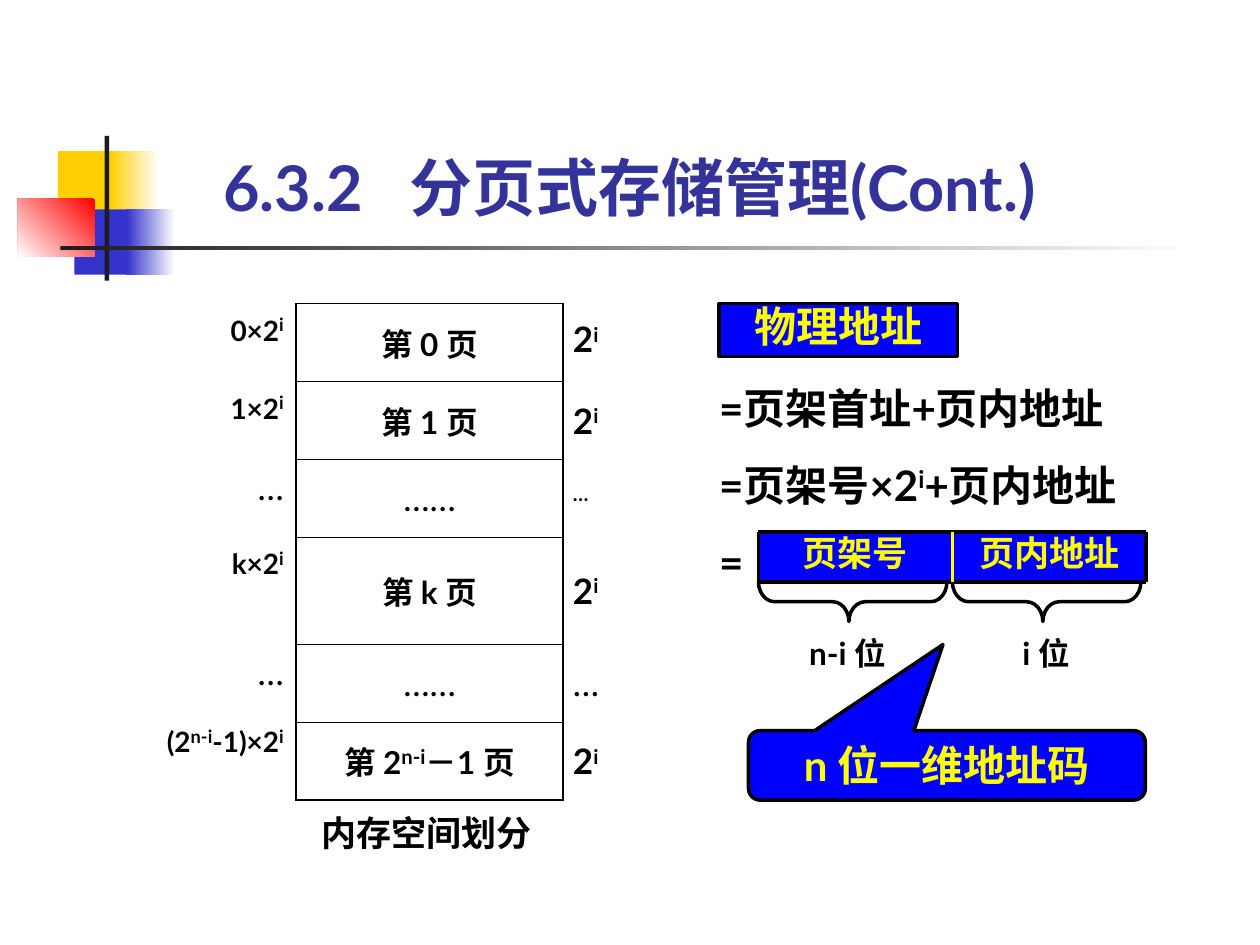
from dataclasses import dataclass

from lxml import etree
from pptx import Presentation
from pptx import util as u
from pptx.dml.color import RGBColor
from pptx.enum import shapes, text
from pptx.oxml import ns

Cm, Pt = u.Cm, u.Pt
SHAPE, ALIGN, ANCHOR = shapes.MSO_SHAPE, text.PP_ALIGN, text.MSO_ANCHOR


@dataclass(frozen=True)
class Theme:
    font: str = "Lato"
    title: str = "333399"
    ink: str = "000000"
    paper: str = "FFFFFF"
    panel: str = "0000FF"
    accent: str = "FFFF00"
    bar: str = "1C1C1C"
    gold: str = "FFCF01"
    blue: str = "3333CC"
    red: str = "FF0000"
    title_size: int = 36
    formula_size: int = 24
    body_size: int = 20
    label_size: int = 18
    address_size: int = 16


@dataclass(frozen=True)
class Box:
    left: float
    top: float
    width: float
    height: float

    def inner(self, left, top, width, height):
        return Box(self.left + left, self.top + top, width, height)

    def lengths(self):
        return Cm(self.left), Cm(self.top), Cm(self.width), Cm(self.height)


THEME = Theme()
NO_STYLE = "{2D5ABB26-0587-4C30-8999-92F81FD0307C}"


def rgb(value):
    return RGBColor.from_string(value)


def write(para, words, size, color=THEME.ink, raised=None, align=ALIGN.LEFT, tight=False, bold=True):
    for index, piece in enumerate(words.split("^")):
        if not piece:
            continue
        span = para.add_run()
        span.text = piece
        if index % 2:
            span.font.size = Pt(raised or size)
            span.font._element.set("baseline", "30000")
    font = para.font
    font.name, font.size, font.bold = THEME.font, Pt(size), bold
    font.color.rgb = rgb(color)
    para.alignment = align
    if tight:
        para.line_spacing = 0.8


def set_margins(frame, left=0, top=0, right=0, bottom=0):
    frame.margin_left, frame.margin_top = Cm(left), Cm(top)
    frame.margin_right, frame.margin_bottom = Cm(right), Cm(bottom)


def add_label(page, box, words, size, align=ALIGN.LEFT):
    frame = page.shapes.add_textbox(*box.lengths()).text_frame
    frame.word_wrap = True
    set_margins(frame)
    write(frame.paragraphs[0], words, size, align=align, tight=True)


def add_panel(page, box, color, kind=SHAPE.RECTANGLE, outline=None, fade_angle=None, fade_to=THEME.paper):
    panel = page.shapes.add_shape(kind, *box.lengths())
    panel.shadow.inherit = False
    if fade_angle is None:
        panel.fill.solid()
        panel.fill.fore_color.rgb = rgb(color)
    else:
        panel.fill.gradient()
        panel.fill.gradient_angle = fade_angle
        for stop, shade in zip(panel.fill.gradient_stops, (color, fade_to)):
            stop.color.rgb = rgb(shade)
    if outline:
        panel.line.color.rgb = rgb(outline)
        panel.line.width = Pt(2)
    else:
        panel.line.fill.background()
    return panel


def add_caption_panel(page, box, words, size, anchor=ANCHOR.TOP, top=0, **look):
    panel = add_panel(page, box, THEME.panel, **look)
    frame = panel.text_frame
    frame.word_wrap = True
    frame.vertical_anchor = anchor
    set_margins(frame, top=top)
    write(frame.paragraphs[0], words, size, THEME.accent, align=ALIGN.CENTER, tight=True)
    return panel


def add_line(page, start, end, color, width):
    line = page.shapes.add_connector(shapes.MSO_CONNECTOR.STRAIGHT, *map(Cm, start + end))
    line.line.color.rgb = rgb(color)
    line.line.width = Pt(width)
    etree.SubElement(line._element.spPr, ns.qn("a:effectLst"))


def build_emblem(page, box):
    for color, left, top, width in ((THEME.gold, 0.81, 0.31, 1.22), (THEME.blue, 1.14, 1.48, 1.17)):
        add_panel(page, box.inner(left, top, width, 1.32), color)
        add_panel(page, box.inner(left + 1.05, top, 0.97, 1.32), color, fade_angle=0)
    add_panel(page, box.inner(0, 1.27, 1.55, 1.17), THEME.red, fade_angle=225)
    add_panel(page, box.inner(1.75, 0, 0.09, box.height), THEME.bar)
    add_panel(page, box.inner(0.86, 2.21, box.width - 0.86, 0.1), THEME.bar, fade_angle=0)


def build_title(page, box):
    title = page.shapes.title
    title.left, title.top, title.width, title.height = box.lengths()
    frame = title.text_frame
    frame.auto_size = text.MSO_AUTO_SIZE.NONE
    frame.vertical_anchor = ANCHOR.BOTTOM
    set_margins(frame)
    para = frame.paragraphs[0]
    tabs = etree.SubElement(para._p.get_or_add_pPr(), ns.qn("a:tabLst"))
    etree.SubElement(tabs, ns.qn("a:tab"), pos=str(Cm(3.75)), algn="l")
    write(para, "6.3.2\t分页式存储管理(Cont.)", THEME.title_size, THEME.title)


def set_borders(cell, **widths):
    properties = cell._tc.get_or_add_tcPr()
    for index, side in enumerate(side for side in "LRTB" if side in widths):
        line = etree.Element(ns.qn("a:ln" + side), w=str(Pt(widths[side])))
        fill = etree.SubElement(line, ns.qn("a:solidFill"))
        etree.SubElement(fill, ns.qn("a:srgbClr"), val=THEME.ink)
        properties.insert(index, line)


def build_memory_table(page, box):
    rows = (
        ("0×2^i", "第 0 页", "2^i"),
        ("1×2^i", "第 1 页", "2^i"),
        ("…", "……", "^…"),
        ("k×2^i", "第 k 页", "2^i"),
        ("…", "……", "…"),
        ("(2^n-i^-1)×2^i", "第 2^n-i^－1 页", "2^i"),
    )
    columns = (
        (3.86, THEME.address_size, THEME.label_size, ALIGN.RIGHT, ANCHOR.TOP),
        (5.38, THEME.label_size, THEME.body_size, ALIGN.CENTER, ANCHOR.MIDDLE),
        (1.24, THEME.body_size, THEME.body_size, ALIGN.LEFT, ANCHOR.MIDDLE),
    )
    tight_cells = {(0, 2), (5, 0)}
    table = page.shapes.add_table(len(rows), len(columns), *box.lengths()).table
    table.first_row = table.horz_banding = False
    table._tbl.tblPr.find(ns.qn("a:tableStyleId")).text = NO_STYLE
    for column, (width, *_) in zip(table.columns, columns):
        column.width = Cm(width)
    last = len(rows) - 1
    for r, row in enumerate(rows):
        table.rows[r].height = Cm(2.16 if r == 3 else 1.57)
        for c, (words, (_, size, raised, align, anchor)) in enumerate(zip(row, columns)):
            cell = table.cell(r, c)
            cell.fill.background()
            cell.vertical_anchor = anchor
            set_margins(cell, 0.2 if c == 2 else 0.25, 0.13, 0.25, 0.13)
            dots = set(words) == {"…"}
            write(cell.text_frame.paragraphs[0], words, THEME.body_size if dots else size,
                  raised=raised, align=align, tight=(r, c) in tight_cells, bold=not dots)
        set_borders(table.cell(r, 0), R=1.08)
        set_borders(table.cell(r, 1), L=1.08, R=1.08,
                    T=0.45 if r else 1.08, B=0.45 if r < last else 1.08)
        set_borders(table.cell(r, 2), L=1.08)
    add_label(page, box.inner(4.19, 10.41, 4.6, 0.7), "内存空间划分", THEME.body_size, ALIGN.CENTER)


def build_address_word(page, box):
    half = box.width / 2
    fields = (("页架号", "n-i 位", 1.02), ("页内地址", "i 位", 1.41))
    for index, (field, bits, indent) in enumerate(fields):
        left = index * half
        add_caption_panel(page, box.inner(left, 0, half, box.height), field, THEME.body_size, ANCHOR.MIDDLE)
        add_label(page, box.inner(left + indent, 2.2, 2.2, 0.61), bits, THEME.label_size)
        span, depth = 3.8, 0.8
        brace = page.shapes.add_shape(SHAPE.LEFT_BRACE, *box.inner(
            left + (span - depth) / 2, box.height + (depth - span) / 2, depth, span).lengths())
        brace.rotation = 270
        brace.adjustments[0], brace.adjustments[1] = 0.41, 0.48
        brace.shadow.inherit = False
        brace.fill.background()
        brace.line.color.rgb = rgb(THEME.ink)
        brace.line.width = Pt(2)
    right, bottom = box.left + box.width, box.top + box.height
    for y in (box.top, bottom):
        add_line(page, (box.left, y), (right, y), THEME.ink, 2.25)
    for x, color, width in ((box.left, THEME.ink, 2.25), (box.left + half, THEME.accent, 2),
                            (right, THEME.ink, 2.25)):
        add_line(page, (x, box.top), (x, bottom), color, width)


def build_formula(page, box):
    callout = add_caption_panel(page, box.inner(0.59, 8.61, 8, 1.4), "n 位一维地址码", THEME.formula_size,
                                top=0.3, kind=SHAPE.ROUNDED_RECTANGULAR_CALLOUT, outline=THEME.ink)
    callout.adjustments[0], callout.adjustments[1] = -0.01, -1.74
    frame = page.shapes.add_textbox(*box.inner(0, 1.6, box.width, 4.11).lengths()).text_frame
    frame.word_wrap = True
    set_margins(frame)
    for index, words in enumerate(("=页架首址+页内地址", "=页架号×2^i^+页内地址", "=")):
        para = frame.add_paragraph() if index else frame.paragraphs[0]
        write(para, words, THEME.formula_size)
        if index:
            para.space_before = Pt(15)
    build_address_word(page, box.inner(0.79, 4.6, 7.82, 1.01))
    add_caption_panel(page, box.inner(0, 0, 4.8, 1.07), "物理地址", THEME.formula_size,
                      top=0.13, outline=THEME.ink)


def main():
    deck = Presentation()
    deck.slide_width, deck.slide_height = Cm(25.4), Cm(19.05)
    page = deck.slides.add_slide(deck.slide_layouts[5])
    build_emblem(page, Box(0.36, 2.74, 23.72, 2.92))
    build_title(page, Box(4.5, 3, 18, 1.52))
    build_memory_table(page, Box(2.11, 6.12, 10.48, 10.01))
    build_formula(page, Box(14.5, 6.12, 9.6, 10.01))
    deck.save("out.pptx")


if __name__ == "__main__":
    main()
